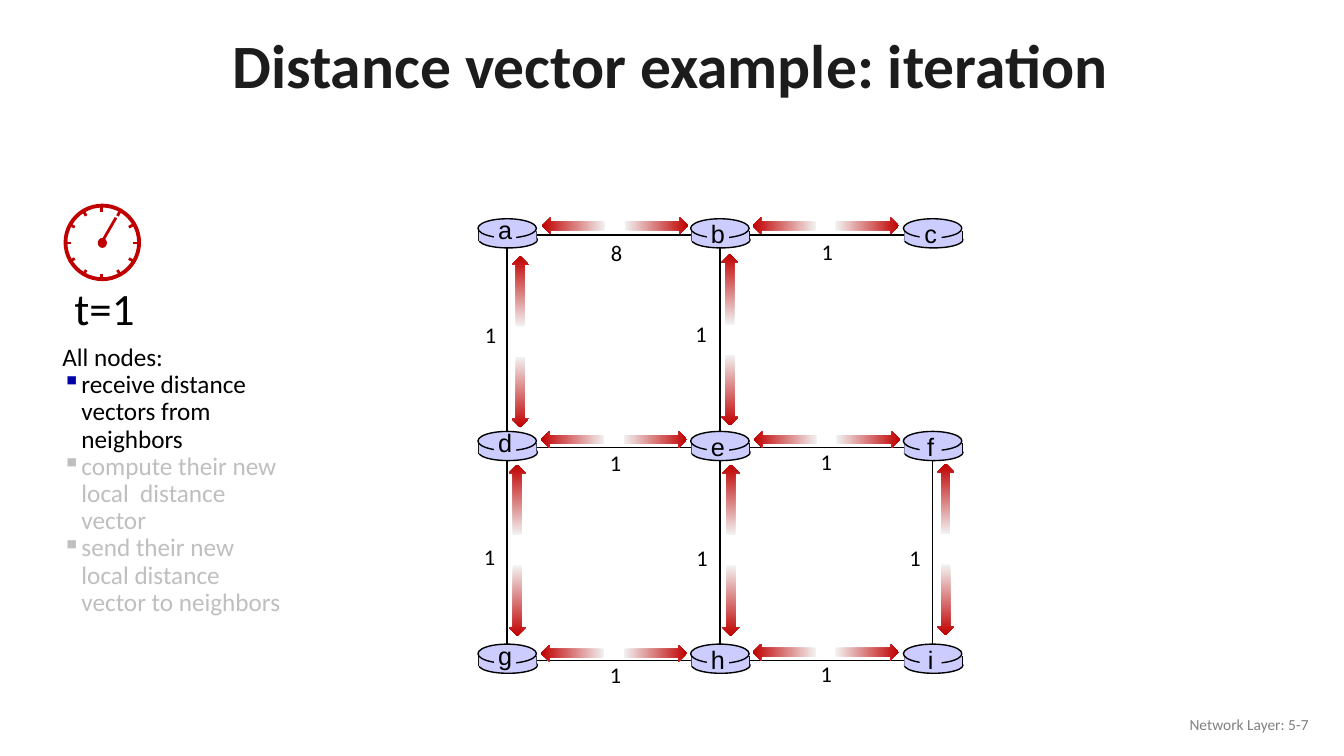
"""Build the distance vector iteration slide with its nine-router grid."""
from math import cos, radians, sin

from lxml import etree
from pptx import Presentation
from pptx.dml.color import RGBColor
from pptx.enum.shapes import MSO_CONNECTOR, MSO_SHAPE
from pptx.enum.text import MSO_ANCHOR, PP_ALIGN
from pptx.oxml.ns import qn
from pptx.util import Inches, Pt

COLORS = {"title": "1C1C1C", "text": "000000", "muted": "BFBFBF", "footer": "808080",
          "bullet": "0000A8", "red": "C00000", "pale": "F2F2F2", "router": "CCCCFF"}


def write(p, text, size=18, color="text", bold=False, font="Calibri", align=PP_ALIGN.LEFT, spacing=None):
    p.alignment = align
    if spacing:
        p.line_spacing = spacing
    r = p.add_run()
    r.text = text
    r.font.size, r.font.name, r.font.bold = Pt(size), font, bold
    r.font.color.rgb = RGBColor.from_string(COLORS[color])


def draw(shapes, kind, x, y, w, h, fill=None, line=None, width=1):
    if kind is None:
        sp = shapes.add_connector(MSO_CONNECTOR.STRAIGHT, Inches(x), Inches(y), Inches(x + w), Inches(y + h))
        etree.SubElement(sp._element.spPr, qn("a:effectLst"))
    else:
        sp = shapes.add_shape(kind, Inches(x), Inches(y), Inches(w), Inches(h))
        sp.shadow.inherit = False
        if fill:
            sp.fill.solid()
            sp.fill.fore_color.rgb = RGBColor.from_string(COLORS[fill])
        else:
            sp.fill.background()
    if line:
        sp.line.color.rgb = RGBColor.from_string(COLORS[line])
        sp.line.width = Pt(width)
    else:
        sp.line.fill.background()
    return sp


prs = Presentation()
prs.slide_width, prs.slide_height = Inches(13.33), Inches(7.5)
s = prs.slides.add_slide(prs.slide_layouts[5])

title = s.shapes.title
title.left, title.top, title.width, title.height = Inches(0.9), Inches(0.19), Inches(11.5), Inches(0.98)
title.text_frame.vertical_anchor = MSO_ANCHOR.MIDDLE
write(title.text_frame.paragraphs[0], "Distance vector example: iteration", size=44,
      color="title", bold=True, align=PP_ALIGN.CENTER, spacing=0.9)

steps = s.shapes.add_textbox(Inches(0.52), Inches(3.37), Inches(2.4), Inches(2.83))
tf = steps.text_frame
tf.word_wrap = True
write(tf.paragraphs[0], "All nodes:", spacing=0.9)
for text, color, bullet in [
    ("receive distance vectors from neighbors", "text", "bullet"),
    ("compute their new local  distance vector", "muted", "muted"),
    ("send their new local distance vector to neighbors", "muted", "muted"),
]:
    p = tf.add_paragraph()
    pPr = p._p.get_or_add_pPr()
    pPr.set("marL", str(Inches(0.19)))
    pPr.set("indent", str(-Inches(0.19)))
    bu_color = etree.SubElement(pPr, qn("a:buClr"))
    etree.SubElement(bu_color, qn("a:srgbClr"), val=COLORS[bullet])
    etree.SubElement(pPr, qn("a:buChar"), char="▪")
    write(p, text, color=color, spacing=0.9)

clock = s.shapes.add_group_shape().shapes
cx, cy = 1.01, 2.41
draw(clock, MSO_SHAPE.OVAL, 0.65, 2.04, 0.73, 0.73, line="red", width=2.75)
for hour in range(12):
    dx, dy = sin(radians(30 * hour)), -cos(radians(30 * hour))
    draw(clock, None, cx + 0.31 * dx, cy + 0.31 * dy, 0.06 * dx, 0.06 * dy, line="red", width=2)
draw(clock, MSO_SHAPE.OVAL, 0.97, 2.36, 0.09, 0.1, fill="red")
draw(clock, None, 1, 2.42, 0.15, -0.26, line="red", width=2)

labels = [
    (s.shapes, "Network Layer: 5-7", 10.08, 7.05, 3, 0.4,
     dict(size=11, color="footer", align=PP_ALIGN.RIGHT)),
    (clock, "t=1", 0.64, 2.74, 0.81, 0.64, dict(size=32)),
]

STEP = 2.11
nodes = {name: (5.03 + STEP * (i % 3), 2.33 + STEP * (i // 3)) for i, name in enumerate("abcdefghi")}
links = [
    ("ab", "8", 5.96, 2.32, 6.1, 2.24), ("bc", "1", 8.05, 2.31, 8.19, 2.24),
    ("de", "1", 5.95, 4.41, 6.09, 4.36), ("ef", "1", 8.04, 4.4, 8.2, 4.36),
    ("gh", "1", 5.95, 6.51, 6.09, 6.48), ("hi", "1", 8.04, 6.5, 8.19, 6.47),
    ("ad", "1", 4.71, 3.14, 5.16, 3.39), ("be", "1", 6.8, 3.13, 7.24, 3.37),
    ("dg", "1", 4.7, 5.34, 5.13, 5.46), ("eh", "1", 6.81, 5.35, 7.25, 5.46),
    ("fi", "1", 8.92, 5.35, 9.38, 5.45),
]

for ends, *_ in links:
    (x1, y1), (x2, y2) = nodes[ends[0]], nodes[ends[1]]
    draw(s.shapes, None, x1, y1, x2 - x1, y2 - y1, line="text")

for name, (x, y) in nodes.items():
    router = s.shapes.add_group_shape().shapes
    for side in (-0.28, 0.29):
        draw(router, None, x + side, y - 0.04, 0, 0.1, line="text")
    for kind, dx, dy, w, h, line in [
        (MSO_SHAPE.OVAL, -0.28, -0.03, 0.58, 0.16, "text"),
        (MSO_SHAPE.RECTANGLE, -0.28, -0.04, 0.57, 0.1, None),
        (MSO_SHAPE.OVAL, -0.29, -0.16, 0.58, 0.19, "text"),
        (MSO_SHAPE.RECTANGLE, -0.13, -0.11, 0.22, 0.2, None),
    ]:
        draw(router, kind, x + dx, y + dy, w, h, fill="router", line=line)
    rise = 0.25 if name in "adg" else 0.21
    labels.append((router, name, x - 0.19, y - rise, 0.34, 0.4, dict(font="Arial", align=PP_ALIGN.CENTER)))

for ends, cost, label_x, label_y, mid_x, mid_y in links:
    labels.append((s.shapes, cost, label_x, label_y, 0.33, 0.37, dict(size=16)))
    if nodes[ends[0]][1] == nodes[ends[1]][1]:
        length, pair = 0.63, [(180, -0.41, 0), (0, 0.41, 0)]
    else:
        length, pair = 0.7, [(270, 0, -0.5), (90, 0, 0.5)]
    for angle, dx, dy in pair:
        arrow = draw(s.shapes, MSO_SHAPE.RIGHT_ARROW, mid_x + dx - length / 2, mid_y + dy - 0.085, length, 0.17)
        arrow.rotation = angle
        arrow.fill.gradient()
        arrow.fill.gradient_angle = 0
        for stop, color, position in zip(arrow.fill.gradient_stops, ("pale", "red"), (0, 1)):
            stop.color.rgb = RGBColor.from_string(COLORS[color])
            stop.position = position

for shapes, text, x, y, w, h, style in labels:
    box = shapes.add_textbox(Inches(x), Inches(y), Inches(w), Inches(h))
    box.text_frame.word_wrap = False
    write(box.text_frame.paragraphs[0], text, **style)

prs.save("out.pptx")
